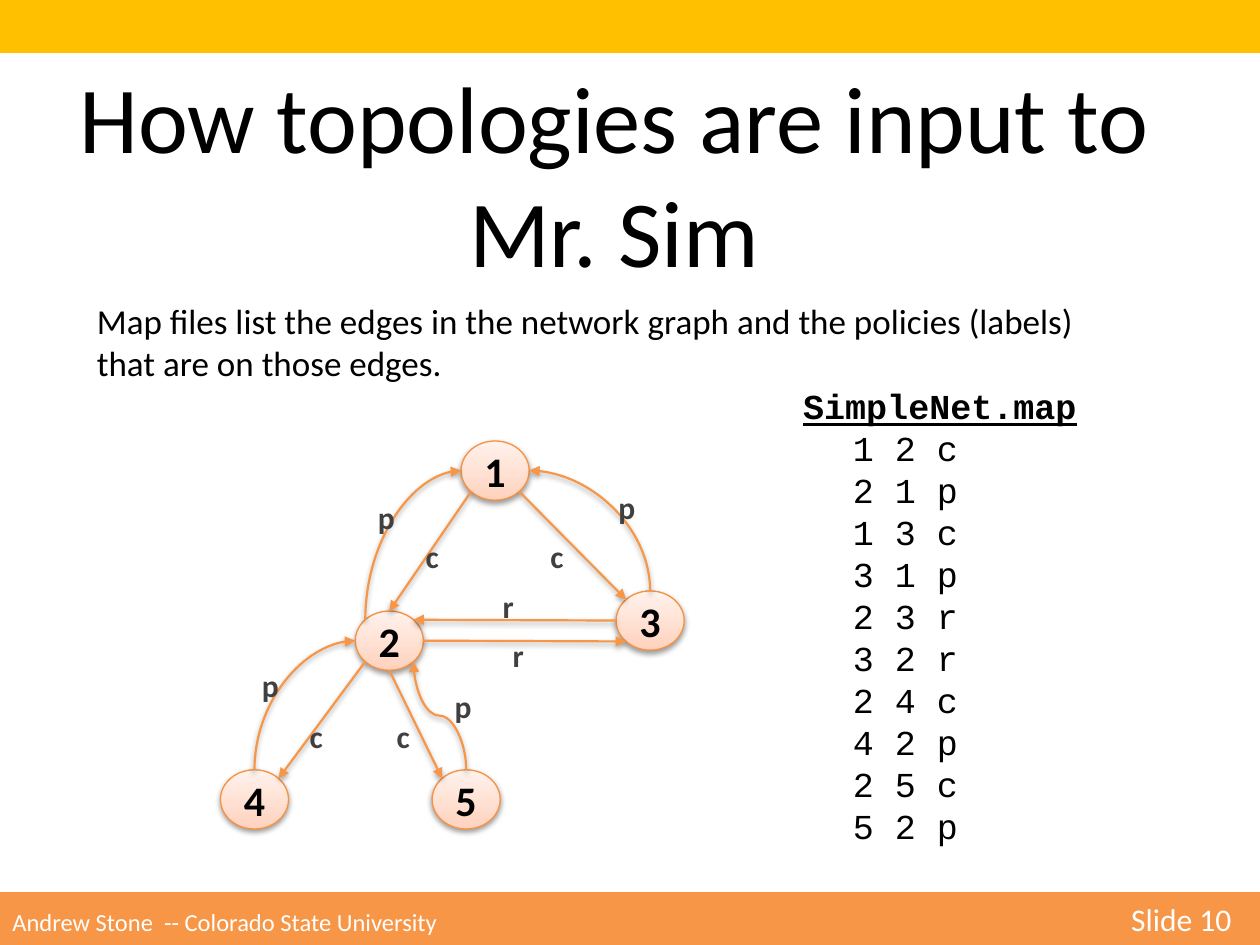
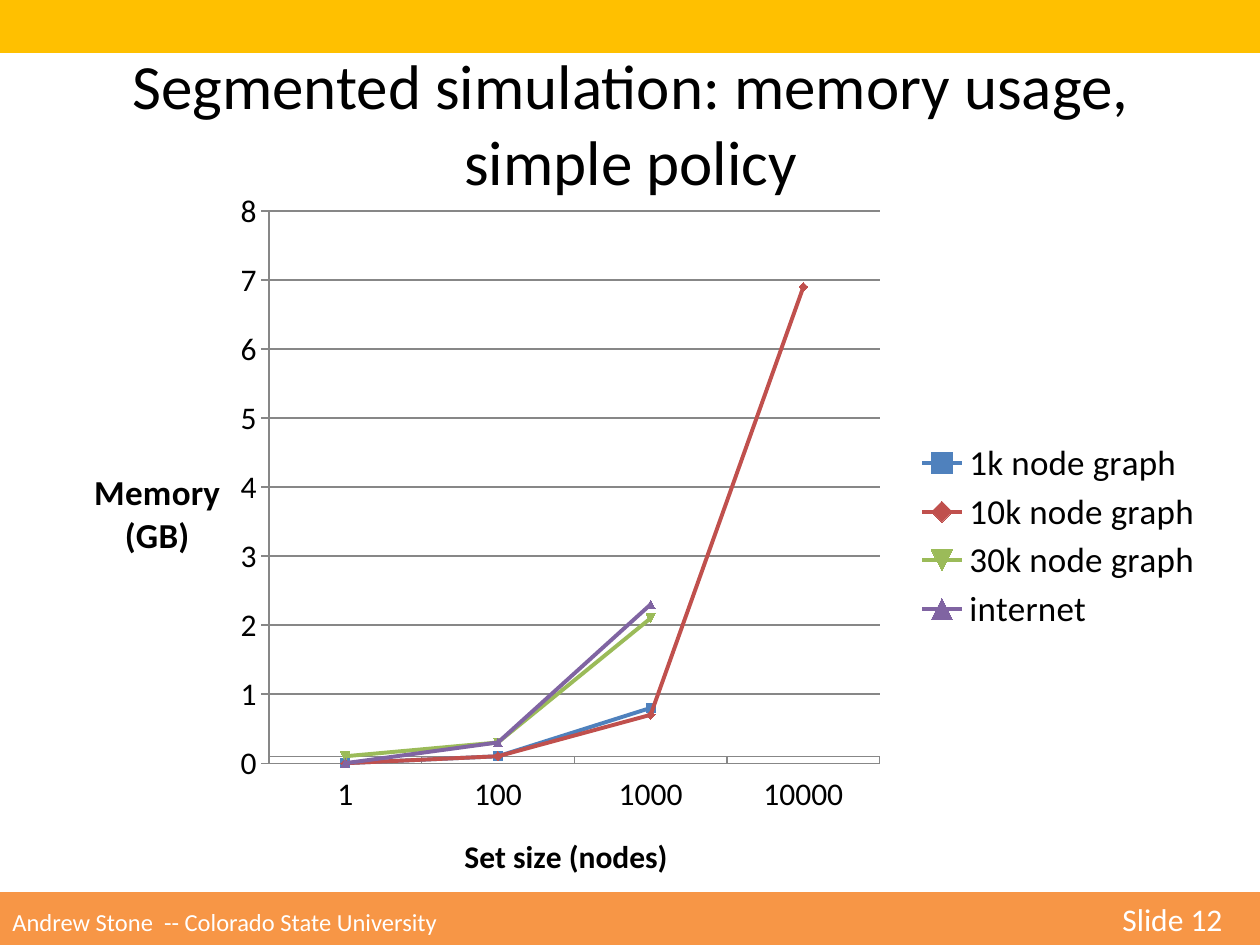
import math

from lxml import etree
from pptx import Presentation, util as u
from pptx.chart.data import CategoryChartData
from pptx.dml.color import RGBColor
from pptx.enum import chart as ch, shapes, text
from pptx.oxml.ns import qn

Inches, Pt = u.Inches, u.Pt
COLORS = {
    "gold": "FFC000", "orange": "F79646", "node_line": "F69240",
    "node_dark": "FFD2BD", "node_light": "FFF2ED",
    "black": "000000", "white": "FFFFFF", "label": "404040", "grid": "878787",
    "1k node graph": "4F81BD", "10k node graph": "C0504D",
    "30k node graph": "9BBB59", "internet": "8064A2",
}
RGB = {name: RGBColor.from_string(value) for name, value in COLORS.items()}


def write(paragraph, words, size=20, color="black", font="Calibri", bold=False,
          underline=False, align=None):
    """Append one formatted run to a paragraph."""
    run = paragraph.add_run()
    run.text = words
    run.font.size, run.font.name = Pt(size), font
    run.font.bold, run.font.underline = bold, underline
    run.font.color.rgb = RGB[color]
    if align is not None:
        paragraph.alignment = align


def add_shadow(shape, opacity):
    properties = shape._element.spPr
    effects = etree.SubElement(properties, qn("a:effectLst"))
    shadow = etree.SubElement(effects, qn("a:outerShdw"), blurRad="40000",
                              dist="20000", dir="5400000", rotWithShape="0")
    black = etree.SubElement(shadow, qn("a:srgbClr"), val=COLORS["black"])
    etree.SubElement(black, qn("a:alpha"), val=str(opacity * 1000))


CENTER = text.PP_ALIGN.CENTER
prs = Presentation()
prs.slide_width, prs.slide_height = Inches(10), Inches(7.5)

# Titles, bands and footers
pages = [
    (["How topologies are input to Mr. Sim"], 54, (0, 0.42, 9.75, 1.92), "Slide 10", 8.88),
    (["Segmented simulation: memory usage,", "simple policy"], 36,
     (0.17, 0.32, 9.67, 1.31), "Slide 12", 8.81),
]
slides = []
for title_lines, title_size, title_box, page_number, page_tab in pages:
    slide = prs.slides.add_slide(prs.slide_layouts[5])
    slides.append(slide)
    bands = []
    for top, color in ((0, "gold"), (7.08, "orange")):
        band = slide.shapes.add_shape(shapes.MSO_SHAPE.RECTANGLE, 0, Inches(top),
                                      Inches(10), Inches(0.42))
        band.shadow.inherit = False
        band.fill.solid()
        band.fill.fore_color.rgb = RGB[color]
        band.line.fill.background()
        bands.append(band)

    title = slide.shapes.title
    title.left, title.top, title.width, title.height = map(Inches, title_box)
    frame = title.text_frame
    frame.auto_size = text.MSO_AUTO_SIZE.NONE
    frame.vertical_anchor = text.MSO_ANCHOR.TOP
    for i, line in enumerate(title_lines):
        paragraph = frame.add_paragraph() if i else frame.paragraphs[0]
        write(paragraph, line, size=title_size, align=CENTER)

    footer = bands[1].text_frame.paragraphs[0]
    tabs = etree.SubElement(footer._p.get_or_add_pPr(), qn("a:tabLst"))
    etree.SubElement(tabs, qn("a:tab"), pos=str(Inches(page_tab)), algn="l")
    write(footer, "Andrew Stone  -- Colorado State University\t", size=14,
          color="white", align=text.PP_ALIGN.LEFT)
    write(footer, page_number, size=18, color="white")

topology, memory = slides

# Topology: introduction
intro = topology.shapes.add_textbox(Inches(0.67), Inches(2.33), Inches(8.08), Inches(0.77))
intro.text_frame.word_wrap = True
write(intro.text_frame.paragraphs[0],
      "Map files list the edges in the network graph and the policies (labels) "
      "that are on those edges.")

# Topology: nodes
NODE_W, NODE_H = 0.54, 0.47
nodes = {1: (3.66, 3.5), 3: (4.89, 4.69), 2: (2.82, 4.85), 5: (3.43, 6.11), 4: (1.75, 6.11)}
for number, (left, top) in nodes.items():
    node = topology.shapes.add_shape(shapes.MSO_SHAPE.OVAL, Inches(left), Inches(top),
                                     Inches(NODE_W), Inches(NODE_H))
    node.fill.gradient()
    node.fill.gradient_angle = 90
    for stop, color in zip(node.fill.gradient_stops, ("node_dark", "node_light")):
        stop.color.rgb = RGB[color]
    node.line.color.rgb = RGB["node_line"]
    node.line.width = Pt(0.75)
    add_shadow(node, 38)
    frame = node.text_frame
    frame.margin_left = frame.margin_right = 0
    write(frame.paragraphs[0], str(number), size=24, bold=True, align=CENTER)

# Topology: edges, each end given as a node and a compass point on its rim
compass = {point: math.radians(45 * i)
           for i, point in enumerate(("E", "SE", "S", "SW", "W", "NW", "N", "NE"))}
edges = [
    (1, "SE", 3, "NW", None), (1, "SW", 2, "N", None), (2, "SW", 4, "NE", None),
    (2, "S", 5, "NW", None), (3, "W", 2, "NE", None), (2, "E", 3, "SW", None),
    (3, "N", 1, "E", "curvedConnector2"), (2, "NW", 1, "W", "curvedConnector2"),
    (4, "N", 2, "W", "curvedConnector2"), (5, "N", 2, "SE", "curvedConnector3"),
]
for source, source_point, target, target_point, curve in edges:
    (x1, y1), (x2, y2) = [
        (nodes[n][0] + NODE_W / 2 * (1 + math.cos(compass[point])),
         nodes[n][1] + NODE_H / 2 * (1 + math.sin(compass[point])))
        for n, point in ((source, source_point), (target, target_point))]
    if curve:
        # Curves leave upwards: a frame turned by 270 degrees about its middle
        middle_x, middle_y = (x1 + x2) / 2, (y1 + y2) / 2
        half_w, half_h = abs(y2 - y1) / 2, abs(x2 - x1) / 2
        edge = topology.shapes.add_connector(
            shapes.MSO_CONNECTOR.CURVE, Inches(middle_x - half_w), Inches(middle_y - half_h),
            Inches(middle_x + half_w), Inches(middle_y + half_h))
        edge._element.spPr.find(qn("a:prstGeom")).set("prst", curve)
        frame = edge._element.spPr.find(qn("a:xfrm"))
        frame.set("rot", str(270 * 60000))
        if x2 < x1:
            frame.set("flipV", "1")
    else:
        edge = topology.shapes.add_connector(shapes.MSO_CONNECTOR.STRAIGHT, Inches(x1),
                                             Inches(y1), Inches(x2), Inches(y2))
    edge.line.color.rgb = RGB["orange"]
    edge.line.width = Pt(1.25)
    etree.SubElement(edge.line._get_or_add_ln(), qn("a:tailEnd"), type="triangle")
    add_shadow(edge, 35)

# Topology: policy labels
policies = {
    "p": [(1.98, 5.24), (2.9, 3.9), (3.51, 5.4), (4.81, 3.82)],
    "c": [(3.28, 4.21), (4.27, 4.21), (3.05, 5.64), (2.36, 5.64)],
    "r": [(3.89, 4.61), (3.97, 5)],
}
label_widths = {"p": 0.31, "c": 0.28, "r": 0.27}
for policy, places in policies.items():
    for left, top in places:
        label = topology.shapes.add_textbox(Inches(left), Inches(top),
                                            Inches(label_widths[policy]), Inches(0.38))
        label.text_frame.word_wrap = False
        write(label.text_frame.paragraphs[0], policy, size=18, color="label", bold=True)

# Topology: map file
map_file = topology.shapes.add_textbox(Inches(6.17), Inches(3), Inches(2.58), Inches(3.8))
map_file.text_frame.word_wrap = True
write(map_file.text_frame.paragraphs[0], "SimpleNet.map", font="Courier New", bold=True,
      underline=True, align=CENTER)
for entry in ("1 2 c", "2 1 p", "1 3 c", "3 1 p", "2 3 r",
              "3 2 r", "2 4 c", "4 2 p", "2 5 c", "5 2 p"):
    paragraph = map_file.text_frame.add_paragraph()
    paragraph._p.get_or_add_pPr().set("marL", str(Inches(0.5)))
    write(paragraph, entry, font="Courier New")

# Memory usage: chart
usage = CategoryChartData()
usage.categories = ["1", "100", "1000", "10000"]
usage.add_series("1k node graph", (0, 0.1, 0.8, None))
usage.add_series("10k node graph", (0, 0.1, 0.7, 6.9))
usage.add_series("30k node graph", (0.1, 0.3, 2.1, None))
usage.add_series("internet", (0, 0.3, 2.3, None))
chart = memory.shapes.add_chart(ch.XL_CHART_TYPE.LINE_MARKERS, Inches(0.5), Inches(1.42),
                                Inches(9.08), Inches(5.67), usage).chart
chart.has_title = False
chart.font.name, chart.font.size = "Calibri", Pt(10)
chart.font.color.rgb = RGB["black"]
plot = chart.plots[0]
plot.vary_by_categories = False
for series in plot.series:
    color = RGB[series.name]
    series.smooth = False
    series.format.line.color.rgb = color
    series.format.line.width = Pt(2.25)
    series.marker.size = 5
    series.marker.format.fill.solid()
    series.marker.format.fill.fore_color.rgb = color
    series.marker.format.line.color.rgb = color

sizes, gigabytes = chart.category_axis, chart.value_axis
for axis, title_lines, title_size in ((sizes, ["Set size (nodes)"], 18),
                                      (gigabytes, ["Memory", "(GB)"], 20)):
    axis.tick_labels.font.size = Pt(18)
    axis.major_tick_mark = ch.XL_TICK_MARK.OUTSIDE
    axis.format.line.color.rgb = RGB["grid"]
    axis.format.line.width = Pt(0.75)
    frame = axis.axis_title.text_frame
    for i, line in enumerate(title_lines):
        paragraph = frame.add_paragraph() if i else frame.paragraphs[0]
        write(paragraph, line, size=title_size, bold=True, align=CENTER)
    frame._txBody.bodyPr.set("rot", "0")
    frame._txBody.bodyPr.set("vert", "horz")
sizes.tick_label_position = ch.XL_TICK_LABEL_POSITION.LOW
gigabytes.minimum_scale, gigabytes.maximum_scale, gigabytes.major_unit = 0, 8, 1
gigabytes.crosses_at = 0.1
gigabytes.major_gridlines.format.line.color.rgb = RGB["grid"]
gigabytes.major_gridlines.format.line.width = Pt(0.75)

chart.has_legend = True
chart.legend.position = ch.XL_LEGEND_POSITION.RIGHT
chart.legend.include_in_layout = False
chart.legend.font.size = Pt(20)
chart.legend.font.name = "Calibri"
chart.legend.font.color.rgb = RGB["black"]

# Places inside the chart, as fractions of its size
plot_area = chart._chartSpace.chart.plotArea
for part, position, place in (
        (plot_area, 0, {"x": 0.18, "y": 0.045, "w": 0.534, "h": 0.773}),
        (chart.legend._element, 1, {"x": 0.74, "y": 0.36, "w": 0.26, "h": 0.28}),
        (sizes.axis_title._element, 1, {"x": 0.346, "y": 0.91}),
        (gigabytes.axis_title._element, 1, {"x": 0.024, "y": 0.4})):
    for automatic in part.findall(qn("c:layout")):
        part.remove(automatic)
    layout = etree.Element(qn("c:layout"))
    part.insert(position, layout)
    manual = etree.SubElement(layout, qn("c:manualLayout"))
    if part is plot_area:
        etree.SubElement(manual, qn("c:layoutTarget"), val="inner")
    for edge_name in ("x", "y"):
        etree.SubElement(manual, qn(f"c:{edge_name}Mode"), val="edge")
    for key, fraction in place.items():
        etree.SubElement(manual, qn(f"c:{key}"), val=str(fraction))

prs.save("out.pptx")
